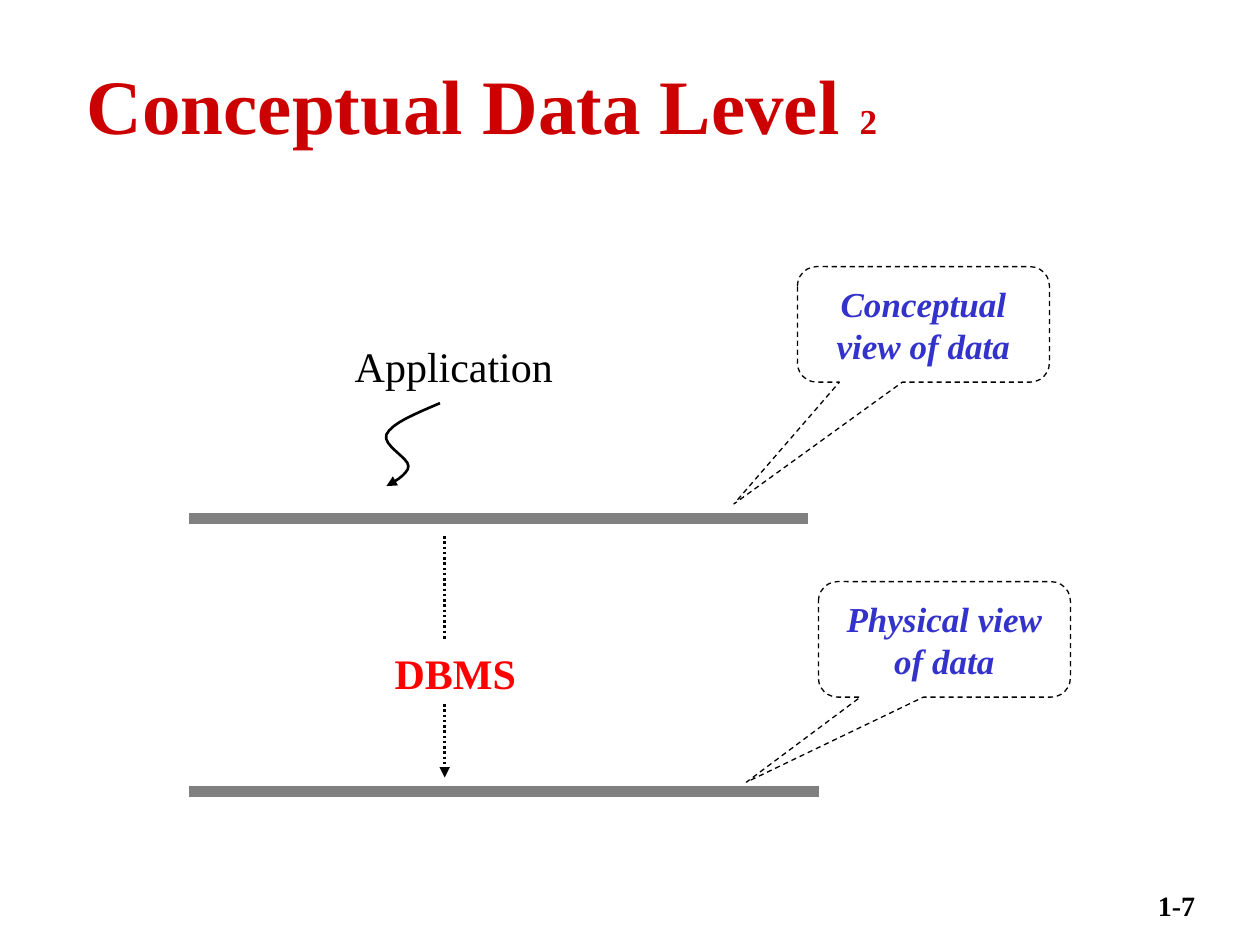
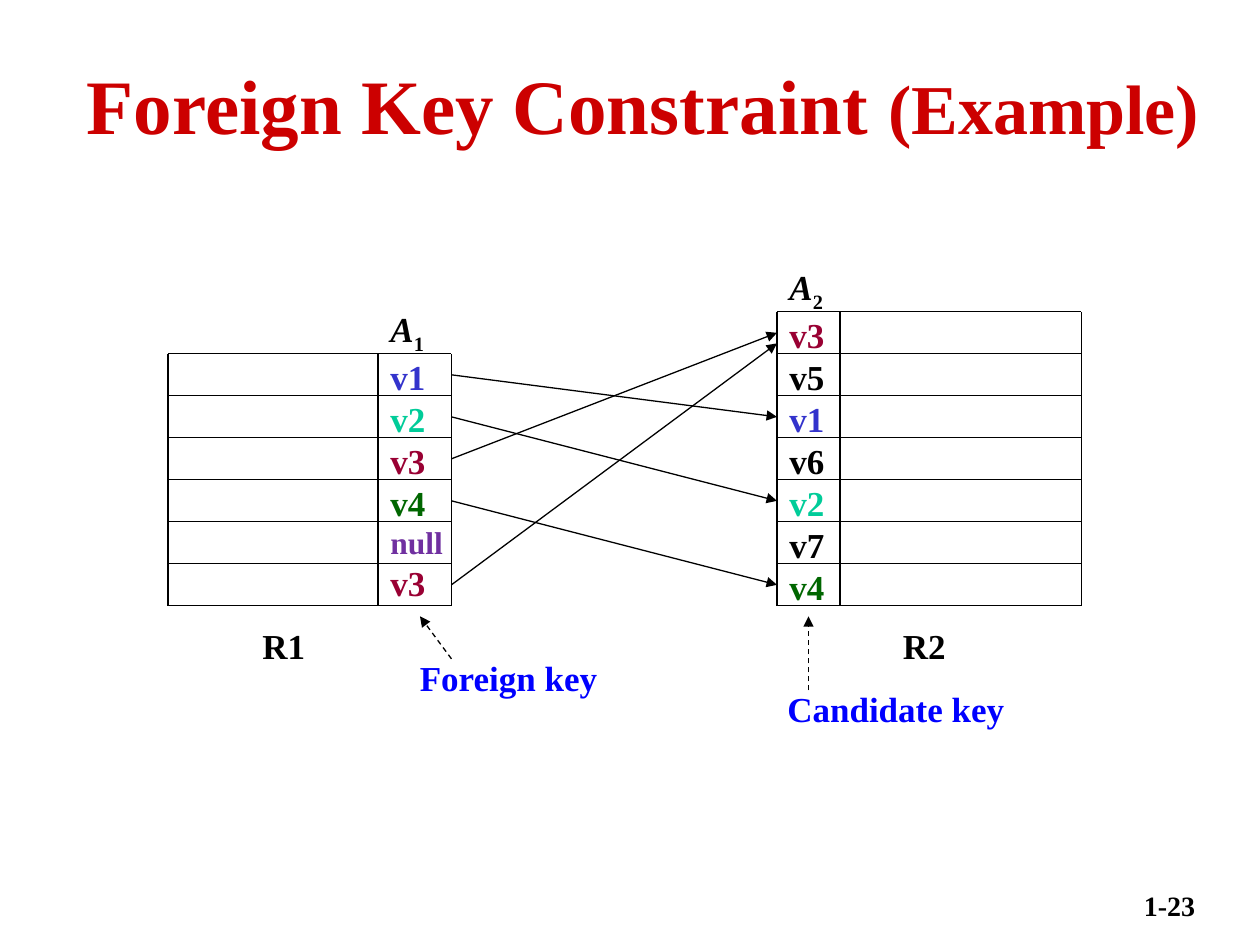
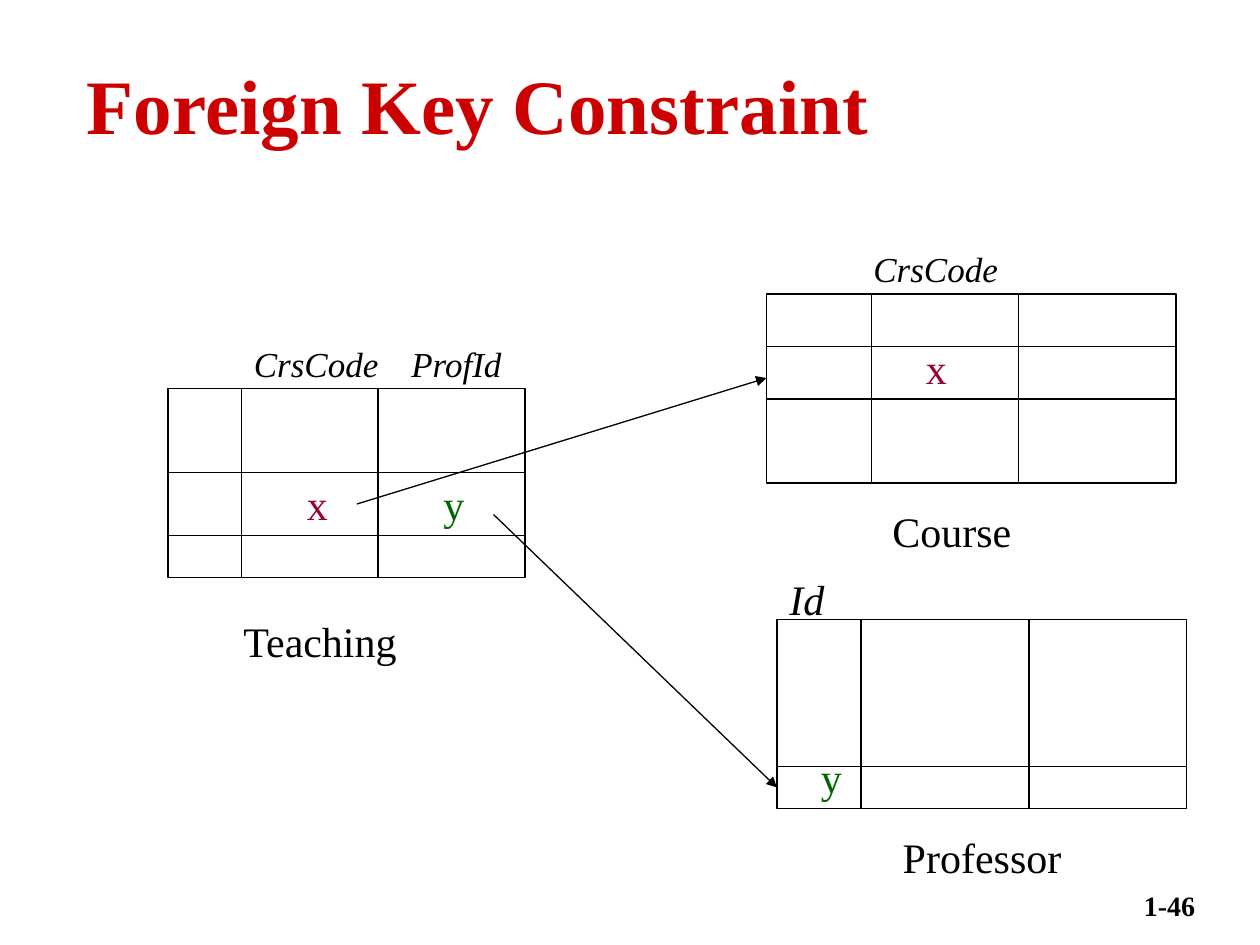
from dataclasses import dataclass
from itertools import accumulate, pairwise

from lxml.etree import SubElement
from pptx import Presentation
from pptx.dml.color import RGBColor
from pptx.enum.dml import MSO_LINE
from pptx.enum.shapes import MSO_CONNECTOR, MSO_SHAPE
from pptx.enum.text import MSO_ANCHOR, MSO_AUTO_SIZE, PP_ALIGN
from pptx.oxml.ns import qn
from pptx.util import Inches, Pt


@dataclass(frozen=True)
class Theme:
    font: str = "Times New Roman"
    ink: str = "000000"
    paper: str = "FFFFFF"
    title: str = "CC0000"
    bar: str = "808080"
    blue: str = "3333CC"
    teal: str = "00CC99"
    wine: str = "990033"
    green: str = "006600"
    purple: str = "7030A0"
    key: str = "0000FF"
    system: str = "FF0000"
    title_size: int = 44
    subtitle_size: int = 40
    body_size: int = 24
    label_size: int = 20
    small_size: int = 18
    footer_size: int = 16
    thin: float = 0.75
    medium: float = 1.5
    thick: float = 6


THEME = Theme()

# All lengths below are in grid units: 12 to the inch, 120 x 90 on a slide
COLUMNS, ROWS = 120, 90
TEXT_HEIGHT = {THEME.body_size: 6, THEME.label_size: 5.3}

# Slide 1
LEVELS = [((18, 49.4), (77, 49.4)), ((18, 75.4), (78, 75.4))]
CALLOUTS = [
    ("Conceptual view of data", (75.95, 25.4, 24, 11), (-0.752, 1.555, 0.167)),
    ("Physical view of data", (77.95, 55.4, 24, 11), (-0.786, 1.237, 0.167)),
]
APPLICATION_CURVE = [
    (41.9, 38.4), (39.6, 39.4), (37.3, 40.3), (36.8, 41.4), (36.4, 42.4),
    (38.9, 43.6), (38.9, 44.4), (38.9, 45.2), (37.2, 46.1), (36.8, 46.3),
]
FLOW_X = 42.35
FLOW = [(51.05, 61.05, False), (67.05, 74.05, True)]

# Slide 2
VALUE_COLORS = {"v1": THEME.blue, "v2": THEME.teal, "v3": THEME.wine,
                "v4": THEME.green, "null": THEME.purple}
REFERRING = ["v1", "v2", "v3", "v4", "null", "v3"]
REFERRED = ["v3", "v5", "v1", "v6", "v2", "v7", "v4"]
R1_LEFT, R1_TOP, R1_COLUMNS, R1_SPLIT = 16, 33.7, (20, 7), 38
R2_LEFT, R2_TOP, R2_COLUMNS = 74, 29.7, (6, 23)
ROW = 4
KEY_LABELS = [
    ("R1", (23.8, 58.9), 6.5, THEME.ink),
    ("R2", (84.8, 58.9), 6.5, THEME.ink),
    ("Foreign key", (38.8, 61.9), 19.3, THEME.key),
    ("Candidate key", (73.8, 64.9), 23, THEME.key),
]
KEY_POINTERS = [((43, 62.75), (40, 58.7)), ((77, 65.75), (77, 58.7))]

# Slide 3: corner, column widths, row heights
RELATIONS = [
    ((16, 37), (7, 13, 14), (8, 6, 4)),
    ((73, 28), (10, 14, 15), (5, 5, 8)),
    ((74, 59), (8, 16, 15), (14, 4)),
]
RELATION_NAMES = [
    ("Teaching", (22, 58), 17.3),
    ("Course", (83.8, 47.55), 13.7),
    ("Professor", (84.8, 78.6), 17.5),
]
ATTRIBUTES = [
    ("CrsCode", (23, 32), 14.3, THEME.label_size),
    ("ProfId", (38, 32), 11, THEME.label_size),
    ("CrsCode", (82, 23), 14.3, THEME.label_size),
    ("Id", (74, 54), 5.8, THEME.body_size),
]
MARKS = [
    ("x", (28.05, 45), THEME.wine),
    ("y", (41.05, 45), THEME.green),
    ("x", (87, 32), THEME.wine),
    ("y", (77, 71), THEME.green),
]
REFERENCES = [((47, 49), (74, 75)), ((34, 48), (73, 36))]


def grid(units):
    return Inches(units / 12)


def color(code):
    return RGBColor.from_string(code)


def write(frame, content, size=THEME.body_size, ink=THEME.ink, bold=False,
          italic=False, align=PP_ALIGN.LEFT):
    """Write a string, or a list of paragraphs of (text, overrides) pairs."""
    lines = [[(content, {})]] if isinstance(content, str) else content
    for index, line in enumerate(lines):
        para = frame.add_paragraph() if index else frame.paragraphs[0]
        para.alignment = align
        for text, changes in line:
            span = para.add_run()
            span.text = text
            span.font.name = THEME.font
            span.font.size = Pt(changes.get("size", size))
            span.font.bold = bold
            span.font.italic = changes.get("italic", italic)
            span.font.color.rgb = color(changes.get("ink", ink))
            if changes.get("subscript"):
                span._r.get_or_add_rPr().set("baseline", "-25000")


def add_text(page, content, left, top, width, height=None, wrap=False,
             anchor=MSO_ANCHOR.TOP, **style):
    height = height or TEXT_HEIGHT[style.get("size", THEME.body_size)]
    slack = 0 if wrap else 0.3
    box = page.shapes.add_textbox(
        *map(grid, (left, top, width + slack, height)))
    frame = box.text_frame
    frame.word_wrap = wrap
    frame.vertical_anchor = anchor
    if not wrap:
        frame.auto_size = MSO_AUTO_SIZE.SHAPE_TO_FIT_TEXT
    write(frame, content, **style)


def style_line(shape, ink=THEME.ink, width=THEME.thin, dash=None, arrow=False):
    shape.line.color.rgb = color(ink)
    shape.line.width = Pt(width)
    if dash:
        shape.line.dash_style = dash
    if arrow:
        outline = shape.line._get_or_add_ln()
        SubElement(outline, qn("a:tailEnd"), type="triangle")


def add_line(page, start, end, **style):
    line = page.shapes.add_connector(MSO_CONNECTOR.STRAIGHT,
                                     *map(grid, (*start, *end)))
    style_line(line, **style)
    SubElement(line._element.spPr, qn("a:effectLst"))


def add_curve(page, points, steps=8, **style):
    """Draw joined cubic curves: a start, then three points for each curve."""
    trace = []
    for first in range(0, len(points) - 1, 3):
        ends = points[first:first + 4]
        for step in range(1, steps + 1):
            t = step / steps
            weights = ((1 - t) ** 3, 3 * t * (1 - t) ** 2,
                       3 * t ** 2 * (1 - t), t ** 3)
            trace.append(tuple(
                grid(sum(w * point[axis] for w, point in zip(weights, ends)))
                for axis in (0, 1)))
    builder = page.shapes.build_freeform(*map(grid, points[0]))
    builder.add_line_segments(trace, close=False)
    curve = builder.convert_to_shape()
    curve.shadow.inherit = False
    curve.fill.background()
    style_line(curve, **style)


def add_panel(page, kind, place, **style):
    panel = page.shapes.add_shape(kind, *map(grid, place))
    panel.shadow.inherit = False
    panel.fill.solid()
    panel.fill.fore_color.rgb = color(THEME.paper)
    style_line(panel, **style)
    return panel


def add_callout(page, text, place, adjustments):
    callout = add_panel(page, MSO_SHAPE.ROUNDED_RECTANGULAR_CALLOUT, place,
                        dash=MSO_LINE.DASH)
    for index, value in enumerate(adjustments):
        callout.adjustments[index] = value
    callout.text_frame.word_wrap = True
    callout.text_frame.vertical_anchor = MSO_ANCHOR.MIDDLE
    write(callout.text_frame, text, size=THEME.label_size, ink=THEME.blue,
          bold=True, italic=True, align=PP_ALIGN.CENTER)


def add_rules(page, corner, columns, rows, framed=False, split=None):
    """Rule a relation; a frame replaces the outer rules, a split cuts rows."""
    left, top = corner
    across = list(accumulate(columns, initial=left))
    down = list(accumulate(rows, initial=top))
    right, bottom = across[-1], down[-1]
    if framed:
        add_panel(page, MSO_SHAPE.RECTANGLE,
                  (left, top, right - left, bottom - top))
        across, down = across[1:-1], down[1:-1]
    stops = [left, split, right] if split else [left, right]
    for y in down:
        for start, end in pairwise(stops):
            add_line(page, (start, y), (end, y))
    for x in across:
        add_line(page, (x, top), (x, bottom))


def add_page(deck, title, number):
    page = deck.slides.add_slide(deck.slide_layouts[6])
    add_text(page, number, 103.5, 84, 11.5, 6, wrap=True, bold=True,
             size=THEME.footer_size, align=PP_ALIGN.RIGHT)
    add_text(page, title, 7.1, 5, 108.7, 9.7, wrap=True, bold=True,
             anchor=MSO_ANCHOR.MIDDLE, size=THEME.title_size, ink=THEME.title)
    return page


def build_data_levels(deck):
    page = add_page(deck, [[("Conceptual Data Level ", {}),
                            ("2", {"size": THEME.label_size})]], "1-7")
    for start, end in LEVELS:
        add_line(page, start, end, ink=THEME.bar, width=THEME.thick)
    add_text(page, "Application", 32.6, 31.8, 21.2)
    add_text(page, "DBMS", 36.4, 61.1, 13.9, ink=THEME.system, bold=True)
    add_curve(page, APPLICATION_CURVE, width=THEME.medium, arrow=True)
    for callout in CALLOUTS:
        add_callout(page, *callout)
    for top, bottom, arrow in FLOW:
        add_line(page, (FLOW_X, top), (FLOW_X, bottom), width=THEME.medium,
                 dash=MSO_LINE.ROUND_DOT, arrow=arrow)


def value_lines(index, values):
    """Give the attribute's heading and its values, one paragraph each."""
    lines = [[("A", {"italic": True}), (index, {"subscript": True})]]
    for value in values:
        size = THEME.small_size if value == "null" else THEME.label_size
        ink = VALUE_COLORS.get(value, THEME.ink)
        lines.append([(value, {"ink": ink, "size": size})])
    return lines


def build_key_example(deck):
    page = add_page(deck, [[("Foreign Key Constraint ", {}),
                            ("(Example)", {"size": THEME.subtitle_size})]],
                    "1-23")
    for index, left, top, width, values in [
            ("2", R2_LEFT, R2_TOP, 5.8, REFERRED),
            ("1", R1_LEFT + R1_COLUMNS[0], R1_TOP, 7.3, REFERRING)]:
        add_text(page, value_lines(index, values), left, top - 5, width,
                 ROW * (len(values) + 1) + 1.4, size=THEME.label_size,
                 bold=True)
    add_rules(page, (R1_LEFT, R1_TOP), R1_COLUMNS, [ROW] * len(REFERRING),
              split=R1_SPLIT)
    add_rules(page, (R2_LEFT, R2_TOP), R2_COLUMNS, [ROW] * len(REFERRED))

    # Each foreign key value points at its match; a repeat lands a little lower
    seen = set()
    for row, value in enumerate(REFERRING):
        if value in REFERRED:
            shift = 1 if value in seen else 0
            target = REFERRED.index(value)
            add_line(page,
                     (R1_LEFT + sum(R1_COLUMNS), R1_TOP + (row + 0.5) * ROW),
                     (R2_LEFT, R2_TOP + (target + 0.5) * ROW + shift),
                     arrow=True)
            seen.add(value)

    for text, corner, width, ink in KEY_LABELS:
        add_text(page, text, *corner, width, size=THEME.label_size,
                 ink=ink, bold=True)
    for start, end in KEY_POINTERS:
        add_line(page, start, end, dash=MSO_LINE.DASH, arrow=True)


def build_key_constraint(deck):
    page = add_page(deck, "Foreign Key Constraint", "1-46")
    for relation in RELATIONS:
        add_rules(page, *relation, framed=True)
    for text, corner, ink in MARKS:
        add_text(page, text, *corner, 4.3, ink=ink)
    for start, end in REFERENCES:
        add_line(page, start, end, arrow=True)
    for text, corner, width, size in ATTRIBUTES:
        add_text(page, text, *corner, width, size=size, italic=True)
    for text, corner, width in RELATION_NAMES:
        add_text(page, text, *corner, width)


def main():
    deck = Presentation()
    deck.slide_width, deck.slide_height = grid(COLUMNS), grid(ROWS)
    build_data_levels(deck)
    build_key_example(deck)
    build_key_constraint(deck)
    deck.save("out.pptx")


if __name__ == "__main__":
    main()
